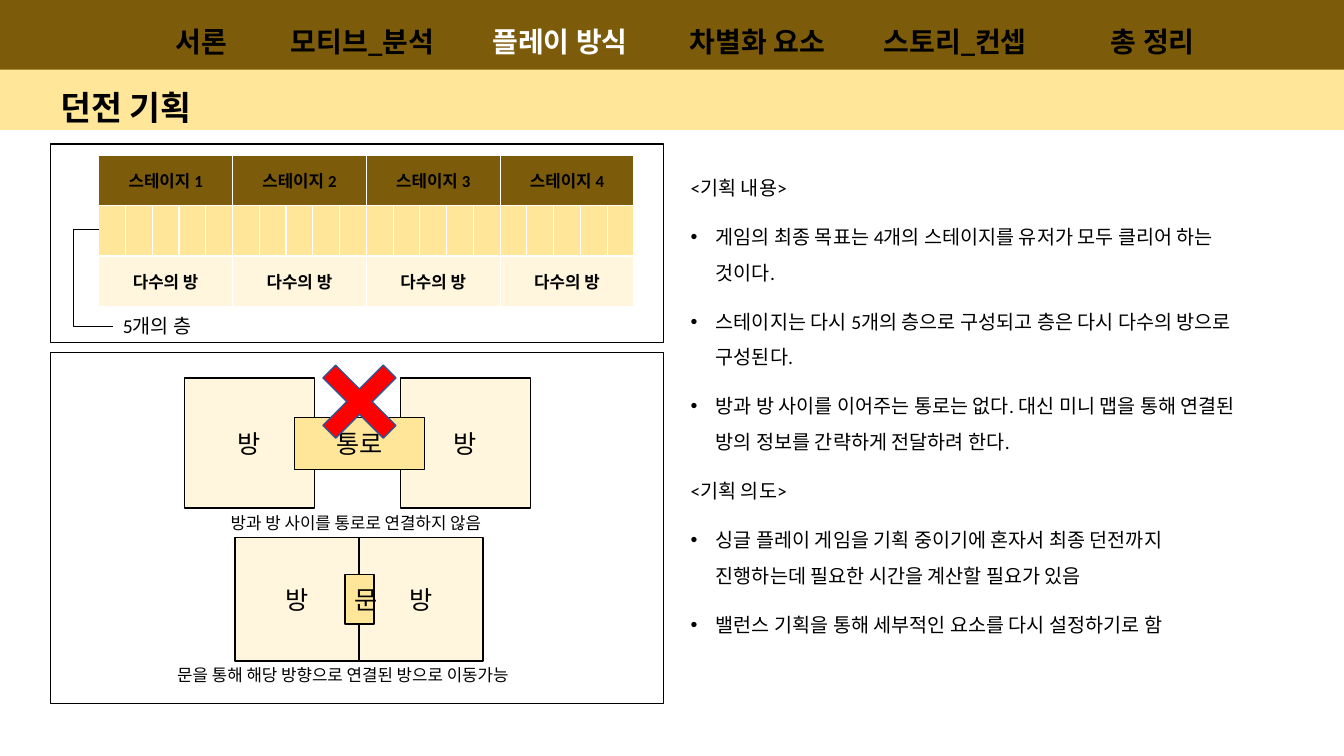
from dataclasses import dataclass

from lxml import etree
from pptx import Presentation
from pptx.dml.color import RGBColor
from pptx.enum.shapes import MSO_CONNECTOR, MSO_SHAPE
from pptx.enum.text import MSO_ANCHOR, MSO_AUTO_SIZE, PP_ALIGN
from pptx.oxml.ns import qn
from pptx.util import Inches, Pt

RECT, CROSS = MSO_SHAPE.RECTANGLE, MSO_SHAPE.MATH_MULTIPLY
ELBOW = MSO_CONNECTOR.ELBOW
LEFT, CENTER = PP_ALIGN.LEFT, PP_ALIGN.CENTER
TOP, MIDDLE = MSO_ANCHOR.TOP, MSO_ANCHOR.MIDDLE
FIXED, GROW = MSO_AUTO_SIZE.NONE, MSO_AUTO_SIZE.SHAPE_TO_FIT_TEXT


@dataclass(frozen=True)
class Theme:
    font: str = "Calibri"
    brown: str = "7C5B0A"
    yellow: str = "FFE699"
    cream: str = "FFF6DD"
    ink: str = "000000"
    white: str = "FFFFFF"
    red: str = "FF0000"
    blue: str = "325491"
    title: int = 24
    nav: int = 20
    room: int = 18
    body: int = 14
    caption: int = 12


@dataclass(frozen=True)
class Box:
    left: float
    top: float
    width: float
    height: float

    def inner(self, left, top, width, height):
        return Box(self.left + left, self.top + top, width, height)

    def emu(self):
        return [Inches(v) for v in (self.left, self.top, self.width, self.height)]


THEME = Theme()


def color(code):
    return RGBColor.from_string(code)


def set_bullet(paragraph, bulleted):
    props = paragraph._p.get_or_add_pPr()
    indent = Inches(0.25) if bulleted else 0
    props.set("marL", str(indent))
    props.set("indent", str(-indent))
    if bulleted:
        etree.SubElement(props, qn("a:buFont")).set("typeface", "Arial")
        etree.SubElement(props, qn("a:buChar")).set("char", "•")
    else:
        etree.SubElement(props, qn("a:buNone"))


def write_text(frame, text, size=THEME.body, ink=THEME.ink, bold=False, align=LEFT,
               anchor=TOP, wrap=True, fit=FIXED, spacing=1.0, gap=0, headings=None):
    frame.word_wrap = wrap
    frame.auto_size = fit
    frame.vertical_anchor = anchor
    for index, line in enumerate(text.split("\n")):
        paragraph = frame.add_paragraph() if index else frame.paragraphs[0]
        paragraph.alignment = align
        paragraph.line_spacing = spacing
        paragraph.space_before = Pt(gap if index else 0)
        if headings is not None:
            set_bullet(paragraph, line not in headings)
        run = paragraph.add_run()
        run.text = line
        run.font.name = THEME.font
        run.font.size = Pt(size)
        run.font.bold = bold
        run.font.color.rgb = color(ink)


def add_label(slide, box, text, **style):
    write_text(slide.shapes.add_textbox(*box.emu()).text_frame, text, **style)


def add_block(slide, box, fill=None, line=None, text=None, kind=RECT):
    block = slide.shapes.add_shape(kind, *box.emu())
    block.shadow.inherit = False
    if fill:
        block.fill.solid()
        block.fill.fore_color.rgb = color(fill)
    else:
        block.fill.background()
    if line:
        block.line.color.rgb = color(line)
        block.line.width = Pt(1)
    else:
        block.line.fill.background()
    if text:
        write_text(block.text_frame, text, size=THEME.room, align=CENTER, anchor=MIDDLE)
    return block


def add_navigation(slide, box, sections, current):
    add_block(slide, box, THEME.brown)
    for index, section in enumerate(sections):
        left = 0.72 + 1.96 * index if index else 1.08
        add_label(slide, box.inner(left, 0.05, 1.83, 0.55), section, size=THEME.nav,
                  ink=THEME.white if section == current else THEME.ink, bold=True,
                  align=CENTER, anchor=MIDDLE, fit=GROW, spacing=1.5)


def place(placeholder, box):
    placeholder.left, placeholder.top, placeholder.width, placeholder.height = box.emu()


def add_heading(slide, box, text):
    add_block(slide, box, THEME.yellow)
    title = slide.shapes.title
    title.element.getparent().append(title.element)
    place(title, box.inner(0.5, 0.01, 11.5, 0.52))
    write_text(title.text_frame, text, size=THEME.title, bold=True, anchor=MIDDLE, spacing=1.5)


def style_cell(cell, fill):
    props = cell._tc.get_or_add_tcPr()
    for side in ("a:lnL", "a:lnR", "a:lnT", "a:lnB"):
        border = etree.SubElement(props, qn(side), w=str(Pt(1)))
        solid = etree.SubElement(border, qn("a:solidFill"))
        etree.SubElement(solid, qn("a:srgbClr")).set("val", THEME.white)
    cell.fill.solid()
    cell.fill.fore_color.rgb = color(fill)


def add_stage_table(slide, box, stages, floors):
    table = slide.shapes.add_table(3, stages * floors, *box.emu()).table
    table.first_row = table.horz_banding = False
    for row, fill in enumerate((THEME.brown, THEME.yellow, THEME.cream)):
        for column in range(stages * floors):
            style_cell(table.cell(row, column), fill)
    for stage in range(stages):
        first = stage * floors
        for row, text in ((0, f"스테이지 {stage + 1}"), (2, "다수의 방")):
            cell = table.cell(row, first)
            cell.merge(table.cell(row, first + floors - 1))
            cell.vertical_anchor = MIDDLE
            write_text(cell.text_frame, text, size=THEME.caption, bold=True,
                       align=CENTER, anchor=MIDDLE)


def add_floor_link(slide, box, bend):
    link = slide.shapes.add_connector(ELBOW, Inches(box.left), Inches(box.top),
                                      Inches(box.left + box.width), Inches(box.top + box.height))
    link.line.color.rgb = color(THEME.ink)
    link.line.width = Pt(0.5)
    props = link.element.spPr
    guides = props.find(qn("a:prstGeom")).find(qn("a:avLst"))
    etree.SubElement(guides, qn("a:gd"), name="adj1", fmla=f"val {round(bend / box.width * 100000)}")
    etree.SubElement(props, qn("a:effectLst"))


def add_stage_panel(slide, box):
    add_block(slide, box, line=THEME.ink)
    add_stage_table(slide, box.inner(0.48, 0.11, 5.31, 1.5), stages=4, floors=5)
    add_floor_link(slide, box.inner(0.48, 0.85, 0.14, 0.96), bend=-0.25)
    add_label(slide, box.inner(0.62, 1.64, 0.93, 0.34), "5개의 층", wrap=False, fit=GROW)


def add_room_pair(slide, box, side, link_box, link_text):
    for left in (0, box.width - side):
        add_block(slide, box.inner(left, 0, side, side), THEME.cream, THEME.ink, "방")
    add_block(slide, link_box, THEME.yellow, THEME.ink, link_text)


def add_room_panel(slide, box):
    add_block(slide, box, line=THEME.ink)
    apart = box.inner(1.33, 0.25, 3.43, 1.29)
    add_room_pair(slide, apart, 1.29, apart.inner(1.09, 0.39, 1.29, 0.52), "통로")
    cross = add_block(slide, apart.inner(1.16, -0.34, 1.15, 1.15), THEME.red, THEME.blue, kind=CROSS)
    cross.adjustments[0] = 0.155
    joined = box.inner(1.83, 1.83, 2.46, 1.23)
    add_room_pair(slide, joined, 1.23, joined.inner(1.09, 0.37, 0.29, 0.49), "문")
    captions = ((1.69, 1.54, 2.92, "방과 방 사이를 통로로 연결하지 않음"),
                (1.16, 3.05, 3.8, "문을 통해 해당 방향으로 연결된 방으로 이동가능"))
    for left, top, width, caption in captions:
        add_label(slide, box.inner(left, top, width, 0.3), caption,
                  size=THEME.caption, wrap=False, fit=GROW)


def add_plan_notes(slide, box, sections):
    notes = slide.placeholders[1]
    place(notes, box)
    lines = [line for heading, points in sections.items() for line in (heading, *points)]
    write_text(notes.text_frame, "\n".join(lines), anchor=MIDDLE, spacing=1.5, gap=10,
               headings=sections)


def main():
    deck = Presentation()
    deck.slide_width, deck.slide_height = Inches(13.33), Inches(7.5)
    slide = deck.slides.add_slide(deck.slide_layouts[1])
    add_navigation(slide, Box(0, 0, 13.33, 0.71),
                   ("서론", "모티브_분석", "플레이 방식", "차별화 요소", "스토리_컨셉", "총 정리"),
                   current="플레이 방식")
    add_heading(slide, Box(0, 0.69, 13.33, 0.6), "던전 기획")
    add_stage_panel(slide, Box(0.5, 1.43, 6.08, 1.97))
    add_room_panel(slide, Box(0.5, 3.5, 6.08, 3.48))
    add_plan_notes(slide, Box(6.75, 1.59, 5.67, 4.76), {
        "<기획 내용>": (
            "게임의 최종 목표는 4개의 스테이지를 유저가 모두 클리어 하는 것이다.",
            "스테이지는 다시 5개의 층으로 구성되고 층은 다시 다수의 방으로 구성된다.",
            "방과 방 사이를 이어주는 통로는 없다. 대신 미니 맵을 통해 연결된 방의 정보를 간략하게 전달하려 한다."),
        "<기획 의도>": (
            "싱글 플레이 게임을 기획 중이기에 혼자서 최종 던전까지 진행하는데 필요한 시간을 계산할 필요가 있음",
            "밸런스 기획을 통해 세부적인 요소를 다시 설정하기로 함"),
    })
    deck.save("out.pptx")


if __name__ == "__main__":
    main()
